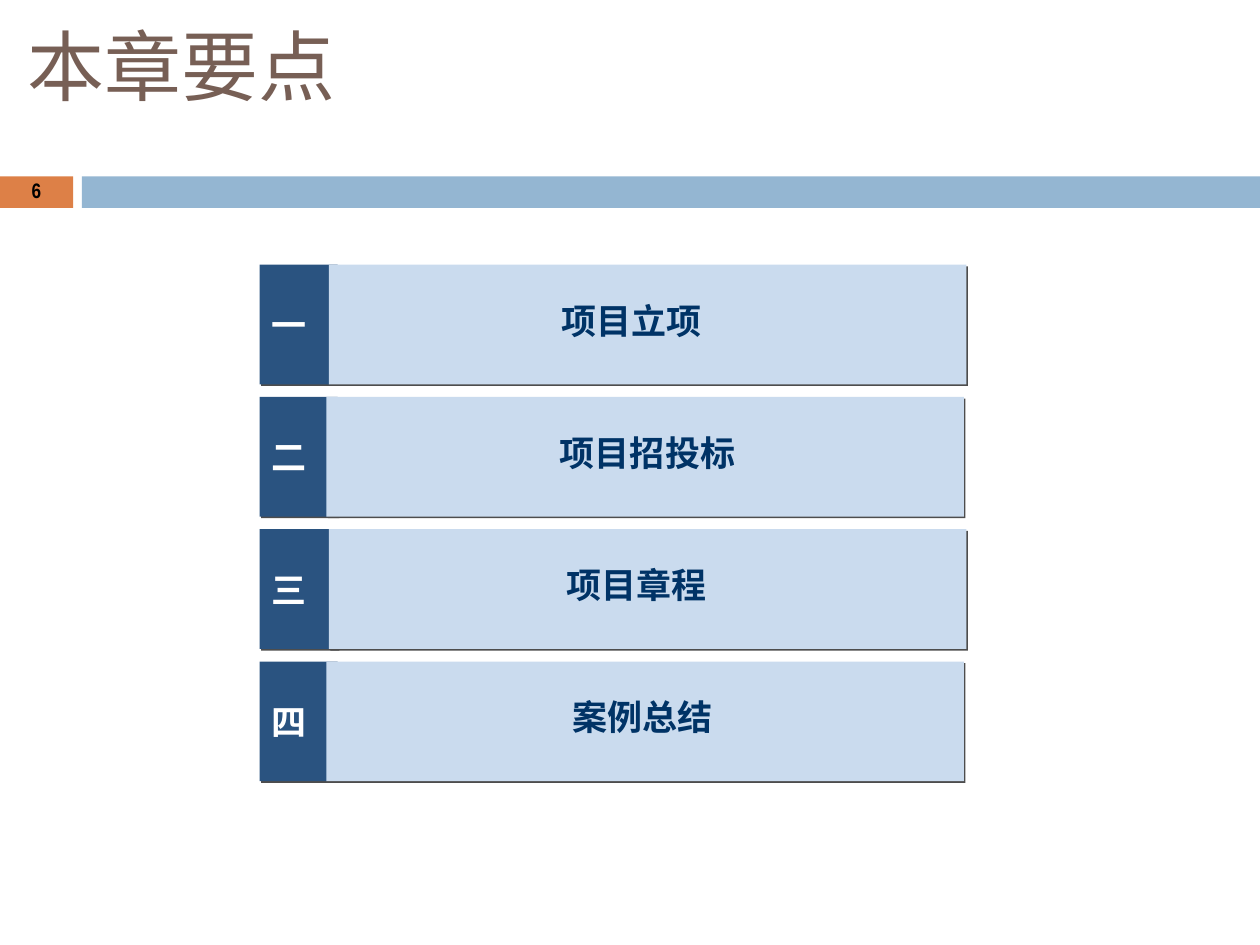
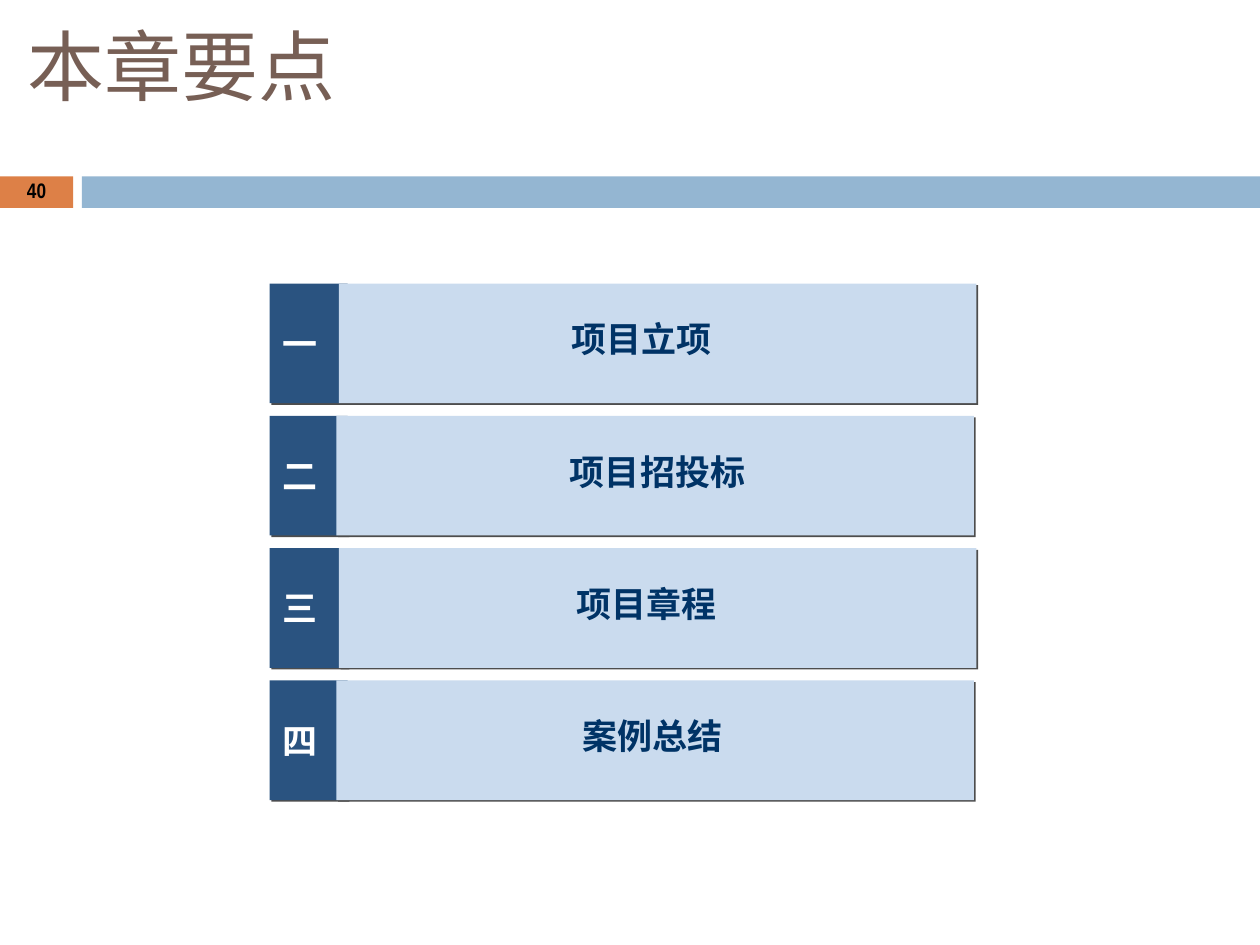
from pptx import Presentation
from pptx.dml.color import RGBColor
from pptx.enum.shapes import MSO_SHAPE
from pptx.enum.text import MSO_ANCHOR, PP_ALIGN
from pptx.oxml.xmlchemy import OxmlElement
from pptx.util import Inches, Pt

W, H = 10, 7.5
CJK, NARROW = "Noto Sans CJK SC", "Arial Narrow"
BROWN, ORANGE, BLUE = "775F55", "DD8047", "94B6D2"
NAVY, PALE, INK, SHADE = "2A5380", "CADBEE", "003366", "4D4D4D"
BAND_Y, BAND_H = 1.4, 0.25

# Chapter points: numeral, bar offset, centre of the label, wording
POINTS = [
    ("一", 0.55, 2.95, "项目立项"),
    ("二", 0.53, 3.08, "项目招投标"),
    ("三", 0.55, 2.99, "项目章程"),
    ("四", 0.53, 3.04, "案例总结"),
]
ROW_PITCH, ROW_H = 1.05, 0.95
NUMERAL_W, BAR_W = 0.62, 5.06
LABEL_W, LABEL_H, LABEL_DY = 4.8, 0.68, 0.1


def rgb(value):
    return RGBColor.from_string(value)


def add_shadow(sp):
    """Hard shadow, 1.4 pt down to the right."""
    effects = OxmlElement("a:effectLst")
    outer = OxmlElement("a:outerShdw")
    outer.set("dist", str(Pt(1.4)))
    outer.set("dir", str(45 * 60000))
    outer.set("algn", "ctr")
    outer.set("rotWithShape", "0")
    color = OxmlElement("a:srgbClr")
    color.set("val", SHADE)
    outer.append(color)
    effects.append(outer)
    sp.element.spPr.append(effects)


def add_box(s, x, y, w, h, fill=None, shadow=False, kind=MSO_SHAPE.RECTANGLE):
    sp = s.shapes.add_shape(kind, Inches(x), Inches(y), Inches(w), Inches(h))
    sp.line.fill.background()
    if fill:
        sp.fill.solid()
        sp.fill.fore_color.rgb = rgb(fill)
    else:
        sp.fill.background()
    if shadow:
        add_shadow(sp)
    else:
        sp.shadow.inherit = False
    return sp


def write(sp, text, size, color, font=CJK, bold=True, align=PP_ALIGN.LEFT,
          anchor=MSO_ANCHOR.MIDDLE, wrap=False, spacing=None):
    tf = sp.text_frame
    tf.word_wrap = wrap
    tf.vertical_anchor = anchor
    p = tf.paragraphs[0]
    p.alignment = align
    if spacing:
        p.line_spacing = spacing
    r = p.add_run()
    r.text = text
    r.font.size = Pt(size)
    r.font.bold = bold
    r.font.color.rgb = rgb(color)
    r.font.name = font
    east = OxmlElement("a:ea")
    east.set("typeface", font)
    r.font._element.append(east)


def add_header(s, title, number):
    # Title
    tb = s.shapes.add_textbox(Inches(0.12), Inches(0.18), Inches(0.85 * W), Inches(1.25))
    write(tb, title, 44, BROWN, bold=False, anchor=MSO_ANCHOR.TOP, wrap=True, spacing=0.9)
    # Band with the page number
    badge = add_box(s, 0, BAND_Y, 0.58, BAND_H, ORANGE)
    add_box(s, 0.65, BAND_Y, W - 0.65, BAND_H, BLUE)
    write(badge, str(number), 12, "000000", NARROW, align=PP_ALIGN.CENTER,
          wrap=True, spacing=0.8)


def add_points(s, left, top):
    for i, (numeral, bar_dx, centre, text) in enumerate(POINTS):
        y = top + i * ROW_PITCH
        # Numeral tile, then the bar that overlaps its edge
        tile = add_box(s, left, y, NUMERAL_W, ROW_H, NAVY, shadow=True)
        write(tile, numeral, 20, "FFFFFF")
        add_box(s, left + bar_dx, y, BAR_W, ROW_H, PALE, shadow=True)
        # Label
        label = add_box(s, left + centre - LABEL_W / 2, y + LABEL_DY, LABEL_W, LABEL_H,
                        kind=MSO_SHAPE.ROUNDED_RECTANGLE)
        write(label, text, 20, INK, align=PP_ALIGN.CENTER)


def add_outline_slide(prs, number, left, top):
    s = prs.slides.add_slide(prs.slide_layouts[6])
    add_header(s, "本章要点", number)
    add_points(s, left, top)


def main():
    prs = Presentation()
    prs.slide_width, prs.slide_height = Inches(W), Inches(H)
    add_outline_slide(prs, 6, 2.06, 2.1)
    add_outline_slide(prs, 40, 2.14, 2.25)
    prs.save("out.pptx")


if __name__ == "__main__":
    main()
